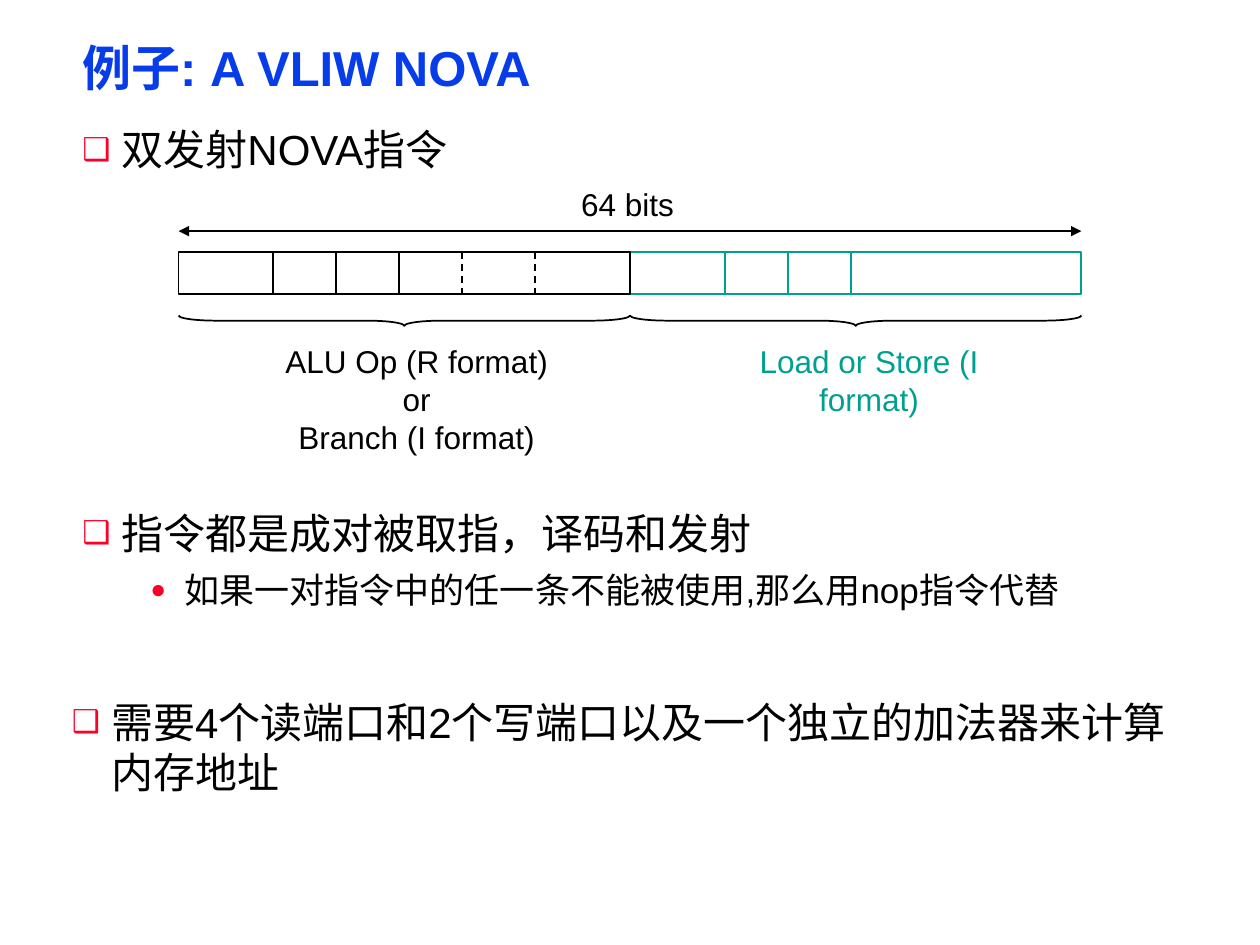
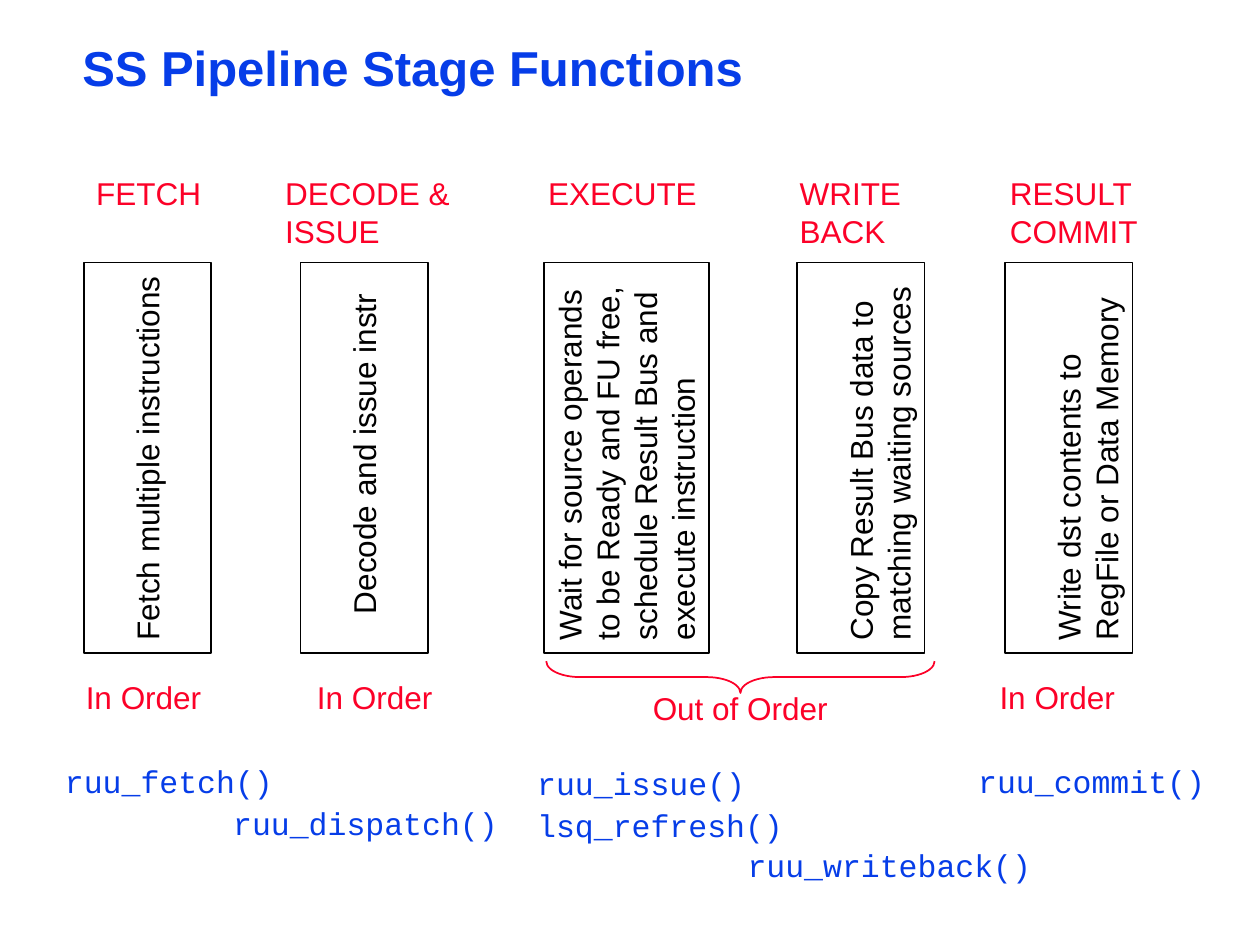
from lxml import etree
from pptx import Presentation
from pptx.dml.color import RGBColor
from pptx.enum.dml import MSO_LINE
from pptx.enum.shapes import MSO_CONNECTOR, MSO_SHAPE
from pptx.enum.text import MSO_ANCHOR, PP_ALIGN
from pptx.oxml.ns import qn
from pptx.util import Cm, Pt

DASH = MSO_LINE.DASH
STRAIGHT = MSO_CONNECTOR.STRAIGHT
RECTANGLE, BRACE = MSO_SHAPE.RECTANGLE, MSO_SHAPE.RIGHT_BRACE
TOP = MSO_ANCHOR.TOP
LEFT, CENTER = PP_ALIGN.LEFT, PP_ALIGN.CENTER

BLACK, BLUE, RED, TEAL = "000000", "063DE8", "FC0128", "00A091"
SANS, MONO = "Arial", "Courier New"
PLAIN_INSETS = (0.25, 0.13)
BODY_INSETS = (0.18, 0.08)
CONTENT_LEFT, CONTENT_WIDTH = 1.48, 22.66

# level: (bullet, text indent, hanging indent, size)
BULLET_LEVELS = {0: ("❑", 0.79, 0.79, 24), 1: ("●", 2.06, 0.69, 20)}


def colour(hex_string):
    return RGBColor.from_string(hex_string)


def style_font(para, size, hex_string, name=SANS, bold=False):
    para.font.size = Pt(size)
    para.font.name = name
    para.font.bold = bold
    para.font.color.rgb = colour(hex_string)


def set_insets(frame, side, top):
    frame.margin_left = frame.margin_right = Cm(side)
    frame.margin_top = frame.margin_bottom = Cm(top)
    frame.vertical_anchor = TOP
    frame.word_wrap = True


def add_text(page, text, left, top, width, height=1.02, size=18, ink=BLACK,
             name=SANS, bold=False, align=LEFT, insets=PLAIN_INSETS):
    """Add a text box with one paragraph for each line of text."""
    box = page.shapes.add_textbox(Cm(left), Cm(top), Cm(width), Cm(height))
    frame = box.text_frame
    set_insets(frame, *insets)
    frame.text = text
    for para in frame.paragraphs:
        para.alignment = align
        style_font(para, size, ink, name, bold)
    return frame


def add_title(page, text):
    frame = add_text(page, text, CONTENT_LEFT, 0.84, CONTENT_WIDTH, 1.17,
                     size=28, ink=BLUE, bold=True, insets=BODY_INSETS)
    frame.paragraphs[0].line_spacing = 0.87


def add_bullets(page, items, left, top, height):
    """Add bulleted paragraphs from (level, text) pairs."""
    text = "\n".join(item for _, item in items)
    frame = add_text(page, text, left, top, CONTENT_WIDTH, height,
                     insets=BODY_INSETS)
    for index, (para, (level, _)) in enumerate(zip(frame.paragraphs, items)):
        mark, indent, hanging, size = BULLET_LEVELS[level]
        para.level = level
        para.font.size = Pt(size)
        if index:
            para.space_before = Pt(6)
        props = para._p.get_or_add_pPr()
        props.set("marL", str(Cm(indent)))
        props.set("indent", str(-Cm(hanging)))
        bullet_ink = etree.Element(qn("a:buClr"))
        etree.SubElement(bullet_ink, qn("a:srgbClr"), val=RED)
        bullet_parts = [bullet_ink,
                        etree.Element(qn("a:buSzPct"), val="75000"),
                        etree.Element(qn("a:buFont"), typeface=SANS),
                        etree.Element(qn("a:buChar"), char=mark)]
        position = list(props).index(props.find(qn("a:defRPr")))
        props[position:position] = bullet_parts
    return frame


def add_outline(page, kind, left, top, width, height, ink, rotation=0):
    """Add an unfilled shape; the box is the one seen after a quarter turn."""
    if rotation in (90, 270):
        left += (width - height) / 2
        top -= (width - height) / 2
        width, height = height, width
    shape = page.shapes.add_shape(kind, Cm(left), Cm(top), Cm(width), Cm(height))
    shape.rotation = rotation
    shape.shadow.inherit = False
    shape.fill.background()
    shape.line.color.rgb = colour(ink)
    shape.line.width = Pt(1)
    return shape


def add_brace(page, left, top, width, depth, ink, curl):
    """Add a brace lying under a span, its point facing down."""
    brace = add_outline(page, BRACE, left, top, width, depth, ink, rotation=90)
    brace.adjustments[0] = curl


def add_line(page, x1, y1, x2, y2, ink, dashed=False, arrows=False):
    line = page.shapes.add_connector(STRAIGHT, Cm(x1), Cm(y1), Cm(x2), Cm(y2))
    line.line.color.rgb = colour(ink)
    line.line.width = Pt(1)
    if dashed:
        line.line.dash_style = DASH
    if arrows:
        outline = line.line._get_or_add_ln()
        for end in ("a:headEnd", "a:tailEnd"):
            etree.SubElement(outline, qn(end), type="triangle")
    etree.SubElement(line._element.spPr, qn("a:effectLst"))


def add_instruction_half(page, left, top, width, ink, solid, dashed=()):
    """Draw one 32-bit half with field dividers at offsets from its left."""
    height = 0.85
    add_outline(page, RECTANGLE, left, top, width, height, ink)
    for offset in (*solid, *dashed):
        x = left + offset
        add_line(page, x, top, x, top + height, ink, dashed=offset in dashed)
    add_brace(page, left, top + 1.28, width, 0.21, BLACK, 3.58)


def add_instruction_word(page, left, top, half):
    fields = (1.91, 3.18, 4.45)
    add_instruction_half(page, left + half, top, half, TEAL, fields)
    add_instruction_half(page, left, top, half, BLACK, fields, (5.72, 7.19))
    add_line(page, left, top - 0.42, left + 2 * half, top - 0.42, BLACK,
             arrows=True)
    add_text(page, "64 bits", left + half - 1.55, top - 1.47, 3, align=CENTER)
    add_text(page, "ALU Op (R format)\nor\nBranch (I format)",
             left + 1.5, top + 1.69, 6.6, 2.54, align=CENTER)
    add_text(page, "Load or Store (I format)", left + half + 1.77, top + 1.69,
             6.1, 1.78, ink=TEAL, align=CENTER)


def build_vliw_slide(page):
    add_title(page, "例子: A VLIW NOVA")
    first = add_bullets(page, [(0, "双发射NOVA指令")], CONTENT_LEFT, 2.53, 1.07)
    first.paragraphs[0].line_spacing = 0.9
    add_instruction_word(page, left=3.6, top=5.08, half=9.1)
    add_bullets(page, [(0, "指令都是成对被取指，译码和发射"),
                       (1, "如果一对指令中的任一条不能被使用,那么用nop指令代替")],
                CONTENT_LEFT, 10.15, 2.29)
    add_bullets(page, [(0, "需要4个读端口和2个写端口以及一个独立的加法器来计算内存地址")],
                1.27, 13.96, 2.18)


def add_stage(page, left, width, task, text_start, text_drop):
    """Add a stage box whose text reads upwards, inset from its edges."""
    stage = add_outline(page, RECTANGLE, left, 5.29, width, 7.87, BLACK, 270)
    frame = stage.text_frame
    set_insets(frame, *PLAIN_INSETS)
    frame.margin_left, frame.margin_top = Cm(text_start), Cm(text_drop)
    frame.text = task
    frame.paragraphs[0].alignment = LEFT
    style_font(frame.paragraphs[0], 18, BLACK)


def build_pipeline_slide(page):
    add_title(page, "SS Pipeline Stage Functions")

    narrow, one_line_down = 2.57, 0.89
    stages = [
        (1.69, narrow, "Fetch multiple instructions", 0.25, one_line_down),
        (6.06, narrow, "Decode and issue instr", 0.78, one_line_down),
        (10.96, 3.33, "Wait for source operands to be Ready and FU free, "
                      "schedule Result Bus and execute instruction", 0.25, 0.13),
        (16.07, narrow, "Copy Result Bus data to matching waiting sources",
         0.25, one_line_down),
        (20.26, narrow, "Write dst contents to RegFile or Data Memory",
         0.25, one_line_down),
    ]
    for stage in stages:
        add_stage(page, *stage)

    headings = [("FETCH", 1.69, 2.7), ("DECODE & ISSUE", 5.5, 4.02),
                ("EXECUTE", 10.8, 4.23), ("WRITE\nBACK", 15.87, 3.39),
                ("RESULT\nCOMMIT", 20.11, 3.39)]
    for heading, left, width in headings:
        add_text(page, heading, left, 3.38, width, 1.78, ink=RED)

    for left in (1.48, 6.14, 19.9):
        add_text(page, "In Order", left, 13.54, 3.18, ink=RED)
    add_text(page, "Out of Order", 12.91, 13.76, 4.66, ink=RED)
    add_brace(page, 11.01, 13.33, 7.83, 0.64, RED, 1.06)

    functions = [("ruu_fetch()", 1.06, 15.24), ("ruu_dispatch()", 4.45, 16.08),
                 ("ruu_issue()", 10.58, 15.27), ("lsq_refresh()", 10.58, 16.12),
                 ("ruu_writeback()", 14.82, 16.93), ("ruu_commit()", 19.47, 15.24)]
    for function, left, top in functions:
        width = 0.39 * len(function) + 0.6
        add_text(page, function, left, top, width, ink=BLUE, name=MONO)


def main():
    deck = Presentation()
    deck.slide_width, deck.slide_height = Cm(25.4), Cm(19.05)
    blank = deck.slide_layouts[6]
    for build in (build_vliw_slide, build_pipeline_slide):
        build(deck.slides.add_slide(blank))
    deck.save("out.pptx")


if __name__ == "__main__":
    main()
